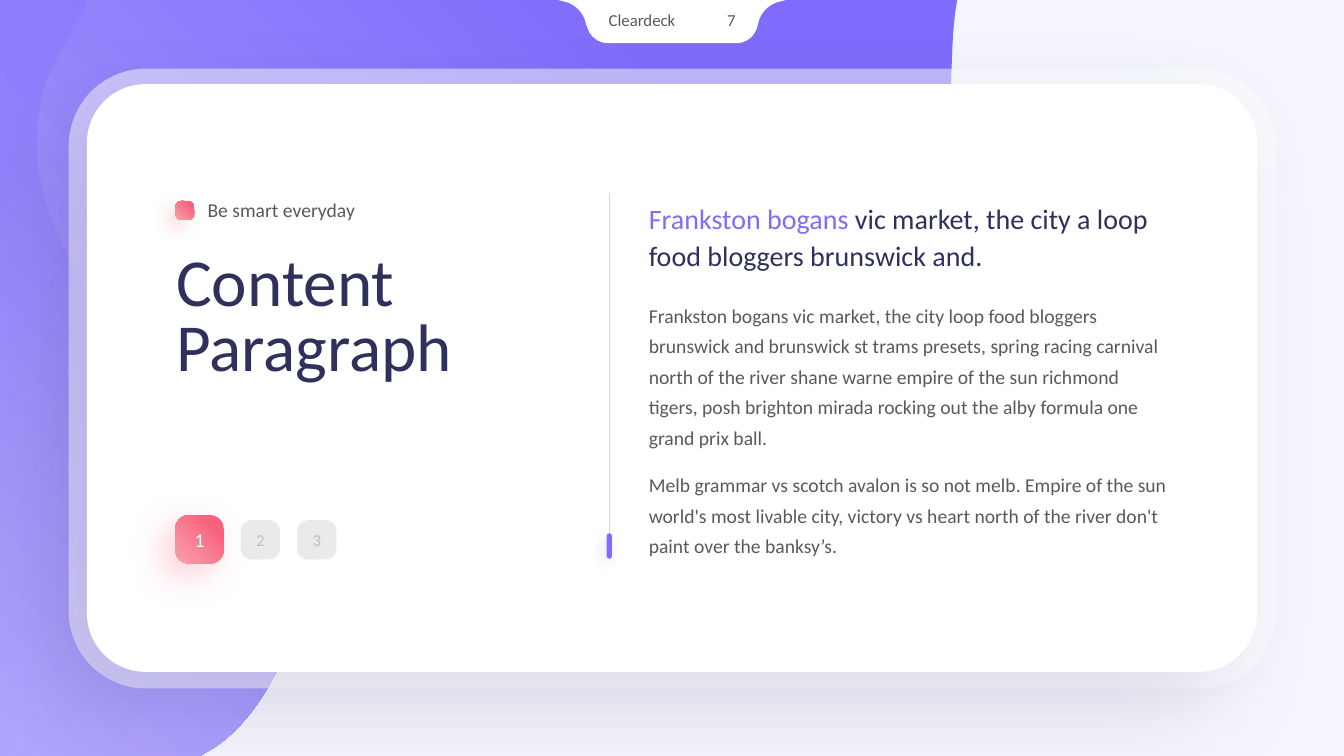
import pptx
import pptx.dml.color
import pptx.enum.shapes
import pptx.enum.text
import pptx.oxml
import pptx.oxml.ns
import pptx.util

Cm = pptx.util.Cm
Pt = pptx.util.Pt
RGBColor = pptx.dml.color.RGBColor
SHAPE = pptx.enum.shapes.MSO_SHAPE
ALIGN = pptx.enum.text.PP_ALIGN
qn = pptx.oxml.ns.qn

FONT = "Calibri"
SLIDE_HEIGHT = 19.05
SLIDE_WIDTH = SLIDE_HEIGHT * 16 / 9

MIST = RGBColor(0xF4, 0xF5, 0xFD)
WHITE = RGBColor(0xFF, 0xFF, 0xFF)
VIOLET = RGBColor(0x7F, 0x6C, 0xFC)
LILAC = RGBColor(0xB2, 0xA7, 0xFD)
NAVY = RGBColor(0x2F, 0x30, 0x5B)
CORAL = RGBColor(0xF7, 0x62, 0x7B)
ROSE = RGBColor(0xFA, 0xA1, 0xB0)
GREY = RGBColor(0x59, 0x59, 0x59)
SILVER = RGBColor(0xD9, 0xD9, 0xD9)
ASH = RGBColor(0xBF, 0xBF, 0xBF)

BLOB = [
    (0, 0), (24.13, 0), (24.11, 0.05),
    (24.1, 0.13, 24.1, 0.2, 24.08, 0.25),
    (23.93, 1.35, 24.03, 2.46, 23.83, 3.56),
    (23.65, 4.6, 22.96, 5.41, 21.95, 5.74),
    (20.27, 6.3, 18.42, 5.54, 16.94, 4.75),
    (16.1, 4.32, 15.27, 3.89, 14.33, 3.86),
    (12.85, 3.84, 11.71, 4.98, 12.34, 6.43),
    (12.8, 7.49, 13.87, 8.13, 14.22, 9.25),
    (14.45, 9.91, 14.4, 10.72, 13.92, 11.25),
    (12.65, 12.7, 10.11, 11.79, 8.69, 13.06),
    (7.82, 13.84, 7.75, 15.01, 7.37, 16.05),
    (6.96, 17.04, 6.38, 18.19, 5.38, 18.85),
    (5.03, SLIDE_HEIGHT), (0, SLIDE_HEIGHT),
]
RIDGE = [
    (0, 0), (2.21, 0), (2.11, 0.28),
    (1.78, 0.97, 1.27, 1.63, 1.07, 2.39),
    (0.46, 4.95, 2.01, 7.09, 3.3, 9.14),
    (4.29, 10.72, 5.03, 12.65, 5.03, 14.17),
    (5.03, 15.21, 4.75, 16.28, 4.11, 17.3),
    (3.66, 18.08, 3.07, 18.59, 2.39, 18.95),
    (2.16, SLIDE_HEIGHT), (0, SLIDE_HEIGHT),
]
FILLET = [
    (19.08, 0), (19.81, 0), (19.69, 0.03),
    (19.38, 0.08, 19.15, 0.33, 19.1, 0.61),
    (19.1, 0.64), (19.08, 0.64),
]
BODY = [
    "Frankston bogans vic market, the city loop food bloggers brunswick and "
    "brunswick st trams presets, spring racing carnival north of the river "
    "shane warne empire of the sun richmond tigers, posh brighton mirada "
    "rocking out the alby formula one grand prix ball.",
    "Melb grammar vs scotch avalon is so not melb. Empire of the sun world's "
    "most livable city, victory vs heart north of the river don't paint over "
    "the banksy’s.",
]


def paint(shape, color, opacity=100):
    """Give a shape a plain fill with no line and no shadow."""
    shape.shadow.inherit = False
    shape.line.fill.background()
    shape.fill.solid()
    shape.fill.fore_color.rgb = color
    if opacity < 100:
        tint = shape.element.spPr.find(qn("a:solidFill"))[0]
        tint.append(tint.makeelement(qn("a:alpha"), {"val": str(opacity * 1000)}))


def paint_radial(shape, inner, outer, focus='t="100000" r="100000"', opacities=(100, 100)):
    """Replace a shape's plain fill by a gradient spreading from one corner."""
    paint(shape, outer)
    stops = "".join(
        f'<a:gs pos="{place}"><a:srgbClr val="{color}">'
        f'<a:alpha val="{opacity * 1000}"/></a:srgbClr></a:gs>'
        for place, color, opacity in zip((0, 80000), (inner, outer), opacities))
    gradient = pptx.oxml.parse_xml(
        f'<a:gradFill {pptx.oxml.ns.nsdecls("a")} rotWithShape="1"><a:gsLst>{stops}</a:gsLst>'
        f'<a:path path="circle"><a:fillToRect {focus}/></a:path></a:gradFill>')
    properties = shape.element.spPr
    properties.replace(properties.find(qn("a:solidFill")), gradient)


def cast_shadow(shape, color, opacity, blur, distance):
    """Add a soft shadow falling to the lower left."""
    shape.element.spPr.find(qn("a:effectLst")).append(pptx.oxml.parse_xml(
        f'<a:outerShdw {pptx.oxml.ns.nsdecls("a")} blurRad="{Pt(blur)}" dist="{Pt(distance)}" '
        f'dir="8100000" algn="tr" rotWithShape="0"><a:srgbClr val="{color}">'
        f'<a:alpha val="{opacity * 1000}"/></a:srgbClr></a:outerShdw>'))


def add_outline(slide, outline):
    """Draw a closed outline whose six-number segments are cubic curves."""
    points = [(round(segment[i] * 100), round(segment[i + 1] * 100))
              for segment in outline for i in range(0, len(segment), 2)]
    builder = slide.shapes.build_freeform(*points[0], scale=Cm(0.01))
    builder.add_line_segments(points[1:], close=True)
    shape = builder.convert_to_shape()
    steps = iter(list(shape.element.iter(qn("a:lnTo"))))
    for segment in outline[1:]:
        lines = [next(steps) for _ in range(len(segment) // 2)]
        if len(lines) == 3:
            curve = lines[0].makeelement(qn("a:cubicBezTo"), {})
            lines[0].addprevious(curve)
            for line in lines:
                curve.append(line[0])
                line.getparent().remove(line)
    return shape


def add_rounded(slide, left, top, width, height, *corners, preset=SHAPE.ROUNDED_RECTANGLE):
    """Draw a rectangle with rounded corners."""
    shape = slide.shapes.add_shape(preset, Cm(left), Cm(top), Cm(width), Cm(height))
    for index, corner in enumerate(corners):
        shape.adjustments[index] = corner
    return shape


def style_run(run, size, color):
    """Set the font of a run."""
    run.font.name = FONT
    run.font.size = Pt(size)
    run.font.color.rgb = color


def add_words(slide, left, top, width, height, paragraphs, size, colors,
              spacing=None, before=None, align=ALIGN.LEFT):
    """Place text; each paragraph is a list of runs coloured in turn."""
    box = slide.shapes.add_textbox(Cm(left), Cm(top), Cm(width), Cm(height))
    frame = box.text_frame
    frame.word_wrap = True
    frame.auto_size = pptx.enum.text.MSO_AUTO_SIZE.SHAPE_TO_FIT_TEXT
    for index, pieces in enumerate(paragraphs):
        paragraph = frame.add_paragraph() if index else frame.paragraphs[0]
        paragraph.alignment = align
        paragraph.line_spacing = spacing
        paragraph.space_before = before
        for piece, color in zip(pieces, colors):
            run = paragraph.add_run()
            run.text = piece
            style_run(run, size, color)


def add_badge(slide, number, left, top, side, size, color):
    """Draw a numbered rounded square."""
    badge = add_rounded(slide, left, top, side, side, 0.28)
    frame = badge.text_frame
    frame.text = number
    frame.vertical_anchor = pptx.enum.text.MSO_ANCHOR.MIDDLE
    frame.paragraphs[0].alignment = ALIGN.CENTER
    style_run(frame.paragraphs[0].runs[0], size, color)
    return badge


def add_backdrop(slide):
    """Draw the violet blob and the page tab."""
    paint_radial(add_outline(slide, BLOB), LILAC, VIOLET)
    paint_radial(add_outline(slide, RIDGE), LILAC, VIOLET, 'l="100000" t="100000"', (0, 30))
    paint(add_rounded(slide, 14.78, 0, 4.32, 1.09, 0, 0.5,
                      preset=SHAPE.ROUND_2_SAME_RECTANGLE), WHITE)
    mirrored = [tuple(SLIDE_WIDTH - value if axis % 2 == 0 else value
                      for axis, value in enumerate(segment)) for segment in FILLET]
    for fillet in (FILLET, mirrored):
        paint(add_outline(slide, fillet), WHITE)
    add_words(slide, 17.37, 0.13, 1.42, 0.76, [["7"]], 12, [GREY], align=ALIGN.RIGHT)
    add_words(slide, 15.09, 0.13, 2.9, 0.76, [["Cleardeck"]], 12, [GREY])


def add_card(slide):
    """Draw the white card and its translucent rim."""
    rim = add_rounded(slide, 1.73, 1.73, 30.43, 15.62, 0.125)
    paint(rim, WHITE, 50)
    cast_shadow(rim, NAVY, 4, 24, 9)
    card = add_rounded(slide, 2.19, 2.12, 29.49, 14.81, 0.1)
    paint(card, WHITE)
    cast_shadow(card, NAVY, 12, 74, 40)


def add_heading(slide):
    """Place the title with its marked tagline."""
    add_words(slide, 4.19, 6.3, 10.49, 3.58, [["Content Paragraph"]], 48, [NAVY], spacing=0.8)
    add_words(slide, 4.98, 4.86, 7.26, 0.86, [["Be smart everyday"]], 14, [GREY])
    marker = add_rounded(slide, 4.42, 5.06, 0.48, 0.48, 0.32)
    paint_radial(marker, ROSE, CORAL)
    cast_shadow(marker, CORAL, 23, 13, 8)


def add_article(slide):
    """Place the lead, the body and the divider."""
    add_words(slide, 16.1, 4.86, 13.59, 2.08,
              [["Frankston bogans ", "vic market, the city a loop food bloggers brunswick and."]],
              20, [VIOLET, NAVY], spacing=1.1)
    add_words(slide, 16.1, 7.35, 13.59, 6.83, [[text] for text in BODY],
              14, [GREY], spacing=1.3, before=Pt(12))
    divider = slide.shapes.add_connector(
        pptx.enum.shapes.MSO_CONNECTOR.STRAIGHT, Cm(15.35), Cm(4.86), Cm(15.35), Cm(13.92))
    divider.line.color.rgb = SILVER
    divider.line.width = Pt(0.5)
    properties = divider.element.spPr
    properties.append(properties.makeelement(qn("a:effectLst"), {}))
    thumb = add_rounded(slide, 15.29, 13.44, 0.13, 0.64, 0.5)
    paint(thumb, VIOLET)
    cast_shadow(thumb, VIOLET, 25, 9, 3)


def add_steps(slide):
    """Draw the active step and the steps to come."""
    active = add_badge(slide, "1", 4.42, 12.98, 1.22, 14, WHITE)
    paint_radial(active, ROSE, CORAL)
    cast_shadow(active, CORAL, 30, 26, 12)
    for index, number in enumerate("23"):
        paint(add_badge(slide, number, 6.07 + 1.42 * index, 13.11, 0.99, 12, ASH), SILVER, 55)


def main():
    """Build the slide and save it."""
    deck = pptx.Presentation()
    deck.slide_width, deck.slide_height = Cm(SLIDE_WIDTH), Cm(SLIDE_HEIGHT)
    slide = deck.slides.add_slide(deck.slide_layouts[6])
    slide.background.fill.solid()
    slide.background.fill.fore_color.rgb = MIST
    for add_part in (add_backdrop, add_card, add_heading, add_article, add_steps):
        add_part(slide)
    deck.save("out.pptx")


if __name__ == "__main__":
    main()
